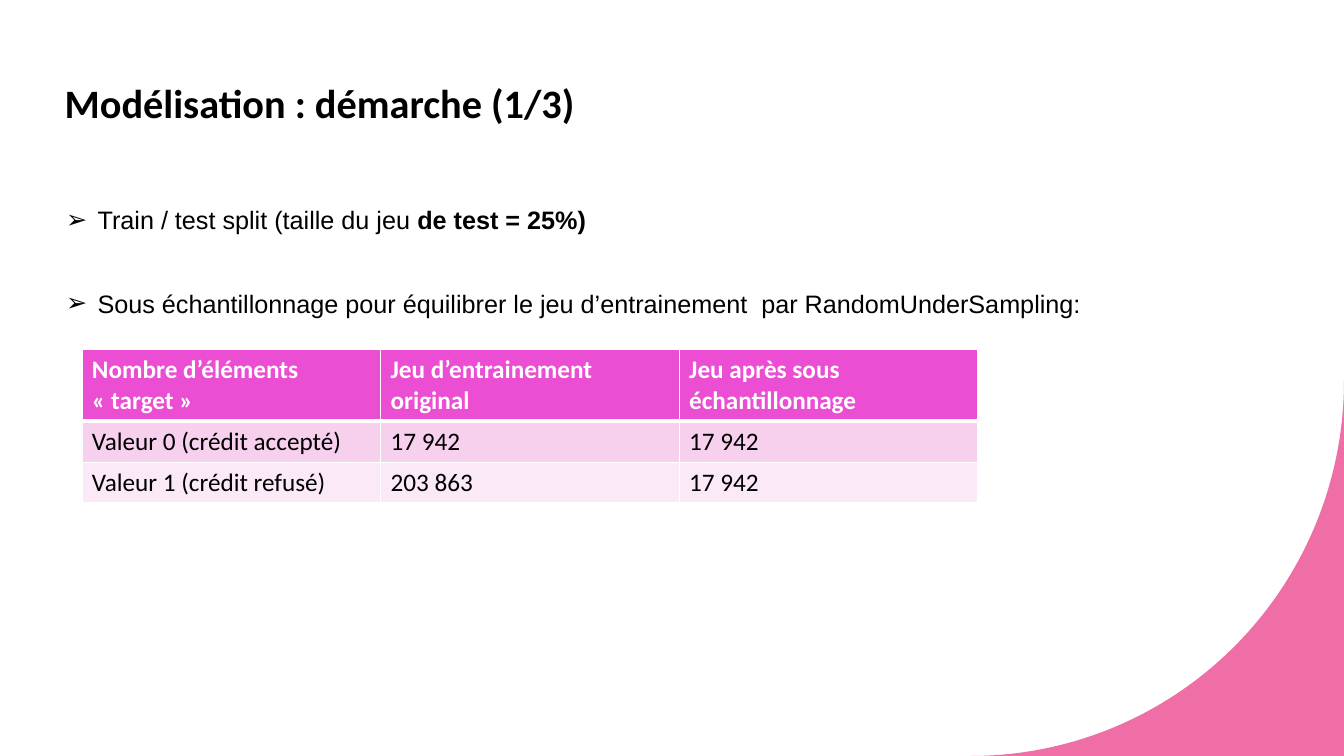
"""Build the slide on the modelling approach: split and undersampling."""
from dataclasses import dataclass
from math import cos, pi, sin

from lxml.etree import SubElement
from pptx import Presentation
from pptx.dml.color import RGBColor as Color
from pptx.enum.text import MSO_ANCHOR as Anchor, MSO_AUTO_SIZE as AutoSize, PP_ALIGN as Align
from pptx.oxml import parse_xml
from pptx.oxml.ns import nsdecls, qn
from pptx.util import Pt


@dataclass(frozen=True)
class Theme:
    """Colours, fonts and type sizes of the slide."""
    ink: str = "000000"
    paper: str = "FFFFFF"
    corner: str = "EE6EA5"
    header: str = "EB4ED2"
    bands: tuple = ("F7D0EE", "FBE9F7")
    heading_font: str = "Calibri"
    body_font: str = "Arial"
    title_size: float = 28.8
    text_size: float = 18


def add_text(para, text, *, font, size, color, bold=False):
    """Add one formatted run to a paragraph."""
    span = para.add_run()
    span.text = text
    span.font.name = font
    span.font.size = Pt(size)
    span.font.bold = bold
    span.font.color.rgb = Color.from_string(color)


def set_border(cell, side, color, width):
    """Draw one side of a table cell; sides are added in schema order."""
    properties = cell._tc.get_or_add_tcPr()
    line = parse_xml(
        f'<a:{side} {nsdecls("a")} w="{Pt(width)}"><a:solidFill>'
        f'<a:srgbClr val="{color}"/></a:solidFill></a:{side}>'
    )
    borders = [child for child in properties if child.tag.startswith(qn("a:ln"))]
    properties.insert(len(borders), line)


class SlideBuilder:
    """Holds the theme and the current slide, with one method per element."""

    def __init__(self, slide, theme):
        """Keep the slide and its style."""
        self.slide = slide
        self.theme = theme

    def place(self, box, left, top, width, height):
        """Move a placeholder and return its text frame."""
        box.left, box.top, box.width, box.height = map(Pt, (left, top, width, height))
        frame = box.text_frame
        frame.word_wrap = True
        frame.auto_size = AutoSize.NONE
        return frame

    def corner(self, left, top, right, bottom, steps=90):
        """Fill the area between a quarter ellipse and the slide corner."""
        angles = [pi / 2 * step / steps for step in range(steps + 1)]
        arc = [
            (Pt(left + (right - left) * cos(angle)), Pt(top + (bottom - top) * sin(angle)))
            for angle in angles
        ]
        builder = self.slide.shapes.build_freeform(*arc[0])
        builder.add_line_segments(arc[1:] + [(Pt(right), Pt(bottom))], close=True)
        shape = builder.convert_to_shape()
        shape.shadow.inherit = False
        shape.fill.solid()
        shape.fill.fore_color.rgb = Color.from_string(self.theme.corner)
        shape.line.fill.background()
        shape.element.getparent().insert(2, shape.element)

    def title(self, text, *bounds):
        """Write the slide title."""
        frame = self.place(self.slide.shapes.title, *bounds)
        frame.vertical_anchor = Anchor.BOTTOM
        para = frame.paragraphs[0]
        para.alignment = Align.LEFT
        add_text(para, text, font=self.theme.heading_font,
                 size=self.theme.title_size, color=self.theme.ink, bold=True)

    def bullets(self, items, *bounds, gap):
        """Write arrow bullets, each a list of (text, bold) pairs."""
        frame = self.place(self.slide.placeholders[1], *bounds)
        frame.vertical_anchor = Anchor.TOP
        frame.margin_top = Pt(5)
        for index, item in enumerate(items):
            para = frame.add_paragraph() if index else frame.paragraphs[0]
            para.line_spacing = 1.0
            para.space_before = Pt(gap if index else 0)
            properties = para._p.get_or_add_pPr()
            properties.set("marL", str(Pt(23.5)))
            properties.set("indent", str(-Pt(22.5)))
            SubElement(properties, qn("a:buFont"), typeface=self.theme.body_font)
            SubElement(properties, qn("a:buChar"), char="➢")
            for text, bold in item:
                add_text(para, text, font=self.theme.body_font,
                         size=self.theme.text_size, color=self.theme.ink, bold=bold)

    def table(self, rows, left, top, width, heights):
        """Add a banded table whose first row is the header."""
        frame = self.slide.shapes.add_table(
            len(rows), len(rows[0]), Pt(left), Pt(top), Pt(width), Pt(sum(heights)))
        theme = self.theme
        for index, (values, height) in enumerate(zip(rows, heights)):
            header = index == 0
            frame.table.rows[index].height = Pt(height)
            fill = theme.header if header else theme.bands[(index - 1) % 2]
            for column, value in enumerate(values):
                cell = frame.table.cell(index, column)
                cell.fill.solid()
                cell.fill.fore_color.rgb = Color.from_string(fill)
                for side in ("lnL", "lnR", "lnT", "lnB"):
                    thick = (header and side == "lnB") or (index == 1 and side == "lnT")
                    set_border(cell, side, theme.paper, 3 if thick else 1)
                add_text(cell.text_frame.paragraphs[0], value,
                         font=theme.heading_font, size=theme.text_size,
                         color=theme.paper if header else theme.ink, bold=header)


def main():
    """Build and save the deck."""
    deck = Presentation()
    deck.slide_width, deck.slide_height = Pt(960), Pt(540)
    page = SlideBuilder(deck.slides.add_slide(deck.slide_layouts[1]), Theme())
    page.corner(693.4, 272.2, 960, 540)
    page.title("Modélisation : démarche (1/3)", 39, 48, 783.4, 46)
    page.bullets(
        [
            [("Train / test split (taille du jeu ", False), ("de test = 25%)", True)],
            [("Sous échantillonnage pour équilibrer le jeu d’entrainement  par "
              "RandomUnderSampling:", False)],
        ],
        39, 141, 783.4, 276.5, gap=38,
    )
    page.table(
        [
            ["Nombre d’éléments «\u00a0target\u00a0»".replace("\u00a0", chr(160)),
             "Jeu d’entrainement original", "Jeu après sous échantillonnage"],
            ["Valeur 0 (crédit accepté)", "17 942", "17 942"],
            ["Valeur 1 (crédit refusé)", "203 863", "17 942"],
        ],
        58.5, 249.8, 640, (51, 29.2, 29.2),
    )
    deck.save("out.pptx")


if __name__ == "__main__":
    main()
